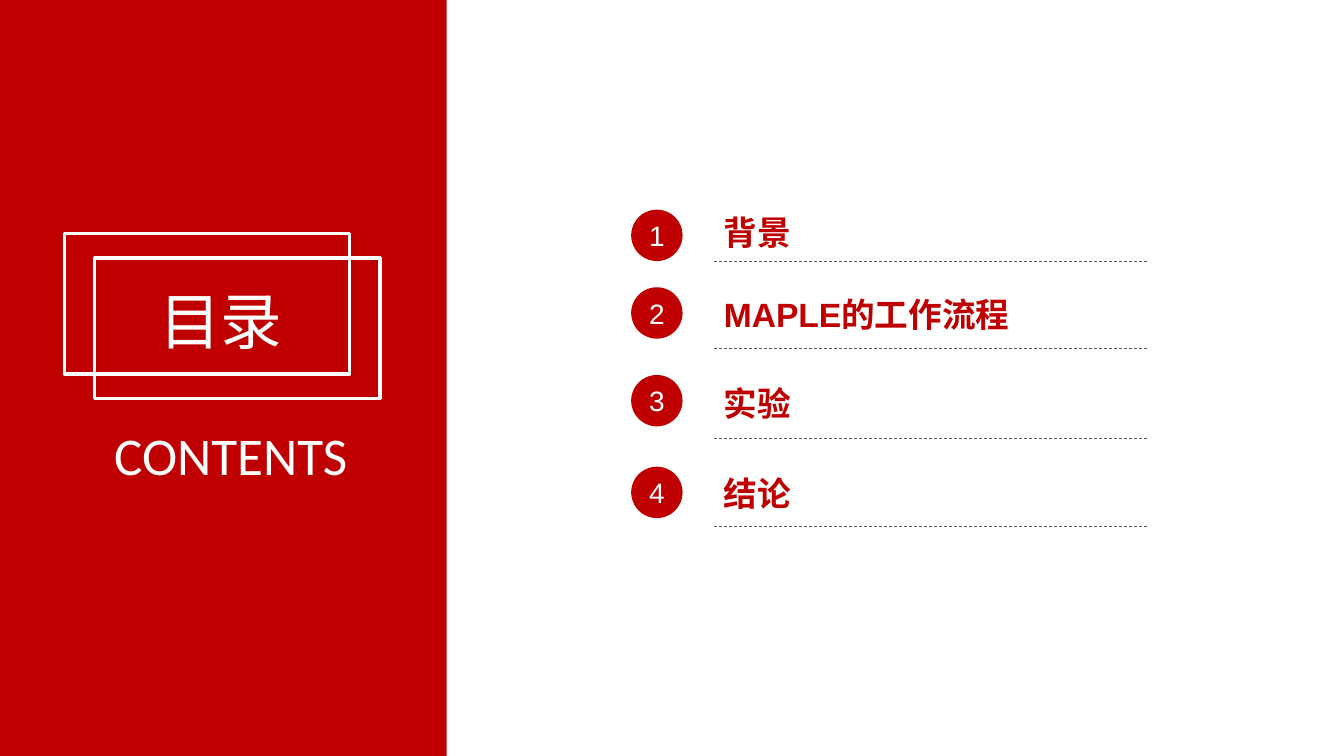
from lxml import etree
from pptx import Presentation
from pptx import util as u
from pptx.dml.color import RGBColor
from pptx.enum import dml, shapes, text
from pptx.oxml.ns import qn

PX = 9144


def px(*lengths):
    return [u.Emu(n * PX) for n in lengths]


def color(value):
    return RGBColor.from_string(value)


def write(tf, content, size, hex_color, font="Arial", bold=False, align=text.PP_ALIGN.CENTER):
    tf.word_wrap = True
    p = tf.paragraphs[0]
    p.alignment = align
    r = p.add_run()
    r.text = content
    r.font.size = u.Pt(size)
    r.font.bold = bold
    r.font.name = font
    r.font.color.rgb = color(hex_color)
    ea = etree.SubElement(r._r.get_or_add_rPr(), qn("a:ea"))
    ea.set("typeface", "Noto Sans CJK SC")


class ContentsSlide:
    red, white, gray = "C00000", "FFFFFF", "595959"

    def __init__(self, prs):
        self.s = prs.slides.add_slide(prs.slide_layouts[6])

    def shape(self, kind, box, fill=None, line=None):
        sp = self.s.shapes.add_shape(kind, *px(*box))
        sp.shadow.inherit = False
        if fill:
            sp.fill.solid()
            sp.fill.fore_color.rgb = color(fill)
        else:
            sp.fill.background()
        if line:
            sp.line.color.rgb = color(line)
            sp.line.width = u.Pt(2.25)
        else:
            sp.line.fill.background()
        return sp

    def label(self, box, content, size, hex_color, **fmt):
        tf = self.s.shapes.add_textbox(*px(*box)).text_frame
        write(tf, content, size, hex_color, **fmt)

    def rule(self, x1, x2, y):
        ln = self.s.shapes.add_connector(shapes.MSO_CONNECTOR.STRAIGHT, *px(x1, y, x2, y))
        ln.line.color.rgb = color(self.gray)
        ln.line.width = u.Pt(0.5)
        ln.line.dash_style = dml.MSO_LINE.DASH
        etree.SubElement(ln._element.spPr, qn("a:effectLst"))

    def badge(self, x, y, number):
        sp = self.shape(shapes.MSO_SHAPE.OVAL, (x, y, 51, 51), fill=self.red)
        tf = sp.text_frame
        tf.margin_left = tf.margin_right = tf.margin_top = tf.margin_bottom = 0
        tf.vertical_anchor = text.MSO_ANCHOR.MIDDLE
        write(tf, str(number), 20, self.white)

    def entry(self, number, title, title_y, rule_y, badge_y):
        self.label((708, title_y, 458, 50), title, 24, self.red,
                   bold=True, align=text.PP_ALIGN.LEFT)
        self.rule(708, 1139, rule_y)
        self.badge(626, badge_y, number)


def main():
    prs = Presentation()
    prs.slide_width, prs.slide_height = px(1333, 750)
    slide = ContentsSlide(prs)
    rect = shapes.MSO_SHAPE.RECTANGLE
    slide.shape(rect, (0, 0, 443, 750), fill=slide.red)
    for x, y in ((64, 232), (94, 256)):
        slide.shape(rect, (x, y, 283, 139), line=slide.white)
    slide.label((69, 414, 320, 74), "CONTENTS", 37.9, slide.white, font="Calibri")
    slide.label((117, 276, 204, 84), "目录", 44, slide.white, font="Noto Sans CJK SC")
    entries = [
        ("背景", 205, 259, 208),
        ("MAPLE的工作流程", 287, 346, 285),
        ("实验", 375, 435, 372),
        ("结论", 464, 522, 463),
    ]
    for number, entry in enumerate(entries, 1):
        slide.entry(number, *entry)
    prs.save("out.pptx")


if __name__ == "__main__":
    main()
